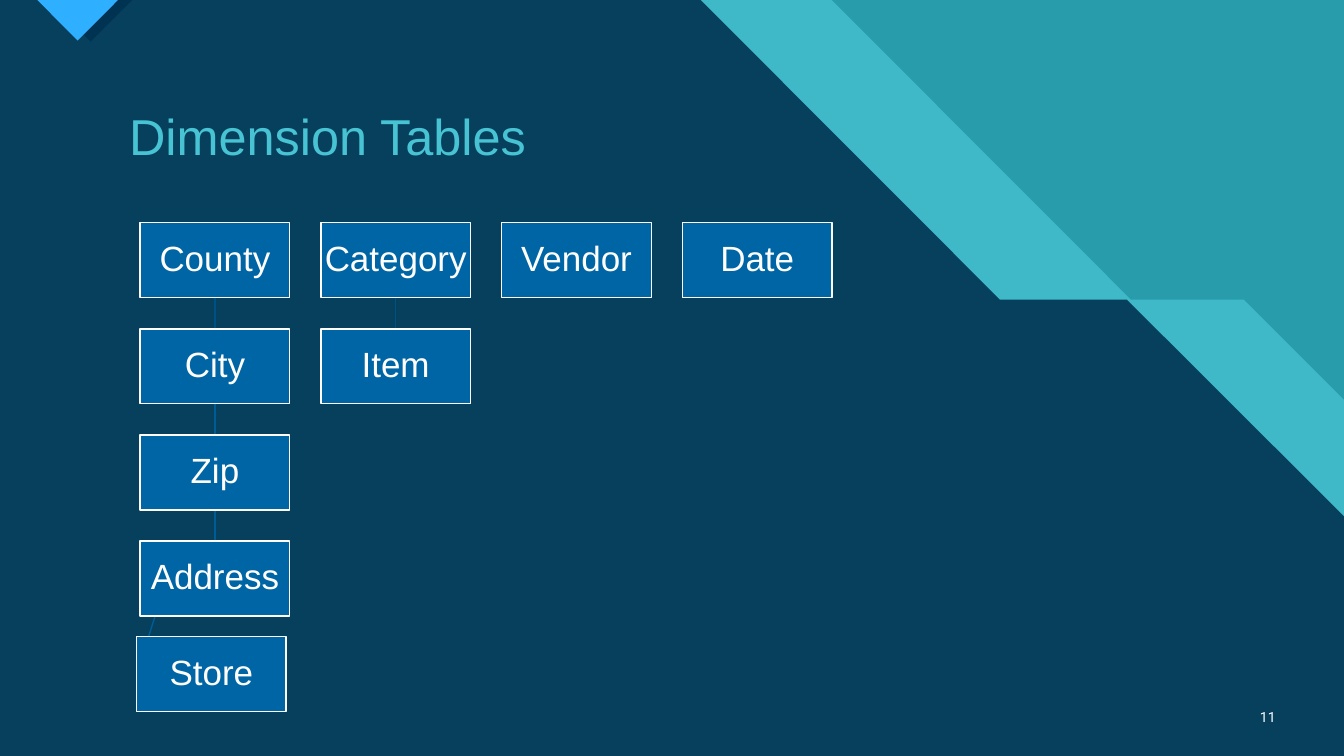
from lxml import etree
from pptx import Presentation
from pptx.dml.color import RGBColor
from pptx.enum.shapes import MSO_CONNECTOR as CONN, MSO_SHAPE as SHAPE
from pptx.enum.text import MSO_ANCHOR as ANCHOR, MSO_AUTO_SIZE as AUTO, PP_ALIGN as ALIGN
from pptx.oxml.ns import qn
from pptx.util import Inches, Pt

TEAL = RGBColor(0x29, 0x9C, 0xAB)
AQUA = RGBColor(0x47, 0xC3, 0xD3)
NAVY = RGBColor(0x00, 0x33, 0x52)
SKY = RGBColor(0x2F, 0xAF, 0xFF)
BLUE = RGBColor(0x00, 0x65, 0xA4)
LINK_TOP = RGBColor(0x00, 0x51, 0x83)
LINK_LOW = RGBColor(0x00, 0x5C, 0x95)
WHITE = RGBColor(0xFF, 0xFF, 0xFF)

# Card grid, in percent of the slide's width and height
GRID_X, COL, CARD_W = 10.43, 13.45, 11.13
GRID_Y, ROW, CARD_H = 29.47, 14.04, 9.9

HIERARCHIES = [["County", "City", "Zip", "Address"], ["Category", "Item"], ["Vendor"], ["Date"]]
STORE_COL, STORE_ROW = -0.02, 3.9

BAND = [(0, 0), (61.88, 0), (84.15, 39.65), (92.55, 39.65), (100, 52.9), (100, 100), (0, 100)]
PANEL = [(0, 0), (52.13, 0), (74.4, 39.65), (83.85, 39.65), (100, 68.3), (100, 100), (0, 100)]
CORNER_SHADOW = [(3.6, 0), (9.83, 0), (6.75, 5.5)]
CORNER = [(2.78, 0), (8.78, 0), (5.78, 5.37)]


class Deck:
    """Slide and style; every position is a percentage of the slide's size."""

    def __init__(self, prs):
        self.w, self.h = prs.slide_width, prs.slide_height
        self.s = prs.slides.add_slide(prs.slide_layouts[5])
        self.shapes = self.s.shapes

    def at(self, x, y):
        return round(self.w * x / 100), round(self.h * y / 100)

    def background(self, color):
        fill = self.s.background.fill
        fill.solid()
        fill.fore_color.rgb = color

    def polygon(self, points, color, opacity=100):
        start, *rest = [self.at(*pt) for pt in points]
        builder = self.shapes.build_freeform(*start)
        builder.add_line_segments(rest)
        sp = builder.convert_to_shape()
        sp.shadow.inherit = False
        sp.fill.solid()
        sp.fill.fore_color.rgb = color
        sp.line.fill.background()
        if opacity < 100:
            clr = sp.element.spPr.find(qn("a:solidFill"))[0]
            etree.SubElement(clr, qn("a:alpha"), val=str(opacity * 1000))

    def label(self, sp, text, size, color, align, anchor, font="Arial"):
        tf = sp.text_frame
        tf.text = text
        tf.word_wrap = True
        tf.vertical_anchor = anchor
        p = tf.paragraphs[0]
        p.alignment = align
        f = p.runs[0].font
        f.name, f.size, f.color.rgb = font, Pt(size), color
        return tf

    def title(self, text, x, y, w, h):
        sp = self.shapes.title
        sp.left, sp.top = self.at(x, y)
        sp.width, sp.height = self.at(w, h)
        tf = self.label(sp, text, 36, AQUA, ALIGN.LEFT, ANCHOR.TOP)
        tf.auto_size = AUTO.SHAPE_TO_FIT_TEXT
        # Bring the title in front of the backdrop
        self.shapes.element.append(sp.element)

    def page_number(self, text, x, y, w, h):
        sp = self.shapes.add_textbox(*self.at(x, y), *self.at(w, h))
        self.label(sp, text, 10, WHITE, ALIGN.RIGHT, ANCHOR.MIDDLE, "Roboto")

    def link(self, start, end, color):
        c = self.shapes.add_connector(CONN.STRAIGHT, *self.at(*start), *self.at(*end))
        c.line.color.rgb, c.line.width = color, Pt(1)
        etree.SubElement(c.element.spPr, qn("a:effectLst"))

    def card(self, text, col, row):
        sp = self.shapes.add_shape(SHAPE.RECTANGLE, *self.at(*corner(col, row)),
                                   *self.at(CARD_W, CARD_H))
        sp.shadow.inherit = False
        sp.fill.solid()
        sp.fill.fore_color.rgb = BLUE
        sp.line.color.rgb, sp.line.width = WHITE, Pt(1)
        tf = self.label(sp, text, 25, WHITE, ALIGN.CENTER, ANCHOR.MIDDLE)
        tf.margin_left = tf.margin_right = tf.margin_top = tf.margin_bottom = Inches(0.02)
        tf.paragraphs[0].line_spacing = 0.9


def corner(col, row):
    """Top left of a grid cell."""
    return GRID_X + col * COL, GRID_Y + row * ROW


def main():
    prs = Presentation()
    prs.slide_width, prs.slide_height = Inches(13.33), Inches(7.5)
    deck = Deck(prs)

    deck.background(TEAL)
    deck.polygon(BAND, AQUA, 74)
    deck.polygon(PANEL, NAVY, 90)
    deck.polygon(CORNER_SHADOW, NAVY)
    deck.polygon(CORNER, SKY)
    deck.page_number("11", 92.35, 92.13, 3.3, 5.33)
    deck.title("Dimension Tables", 8.85, 13.2, 34.13, 9.47)

    for col, names in enumerate(HIERARCHIES):
        for row in range(1, len(names)):
            x, y = corner(col, row)
            mid = x + CARD_W / 2
            deck.link((mid, y - ROW + CARD_H), (mid, y), LINK_TOP if row == 1 else LINK_LOW)
    x, y = corner(0, 3)
    store_x, store_y = corner(STORE_COL, STORE_ROW)
    deck.link((x + CARD_W / 10, y + CARD_H), (store_x, store_y + CARD_H / 2), LINK_LOW)

    for col, names in enumerate(HIERARCHIES):
        for row, name in enumerate(names):
            deck.card(name, col, row)
    deck.card("Store", STORE_COL, STORE_ROW)

    prs.save("out.pptx")


if __name__ == "__main__":
    main()
